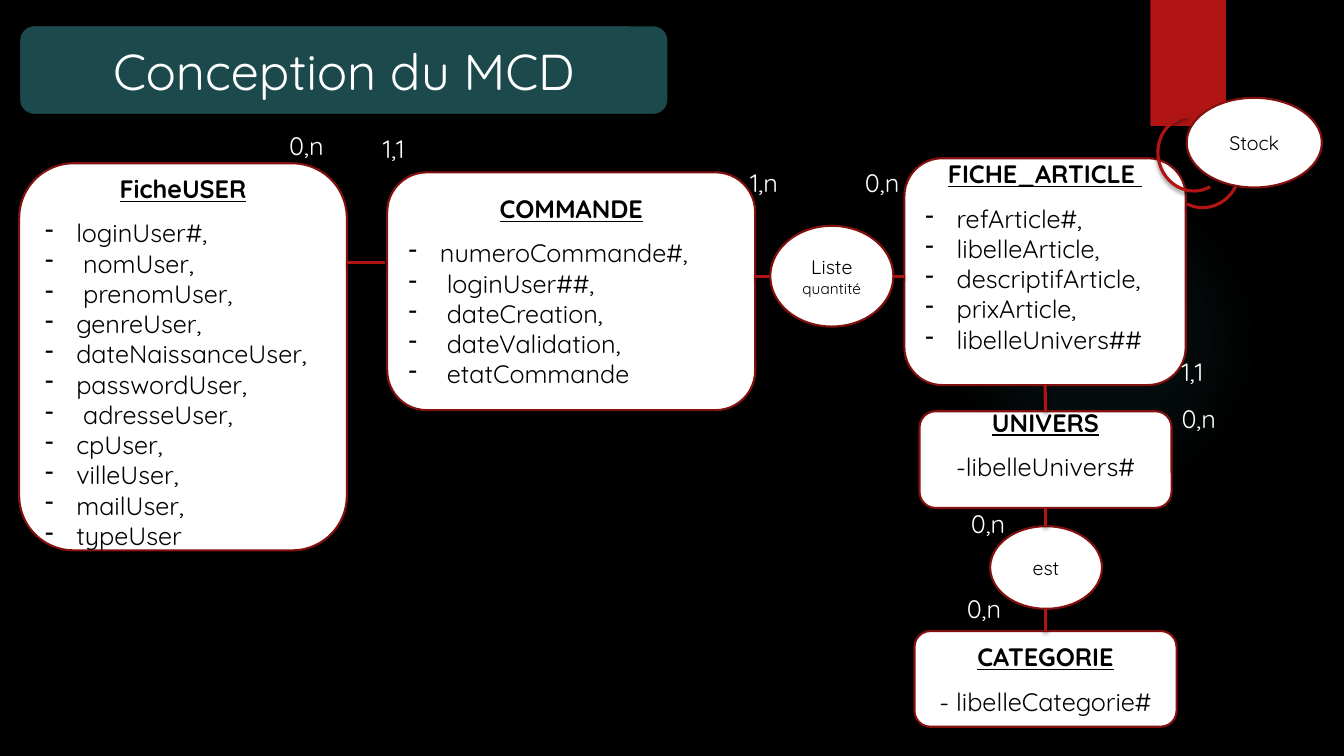
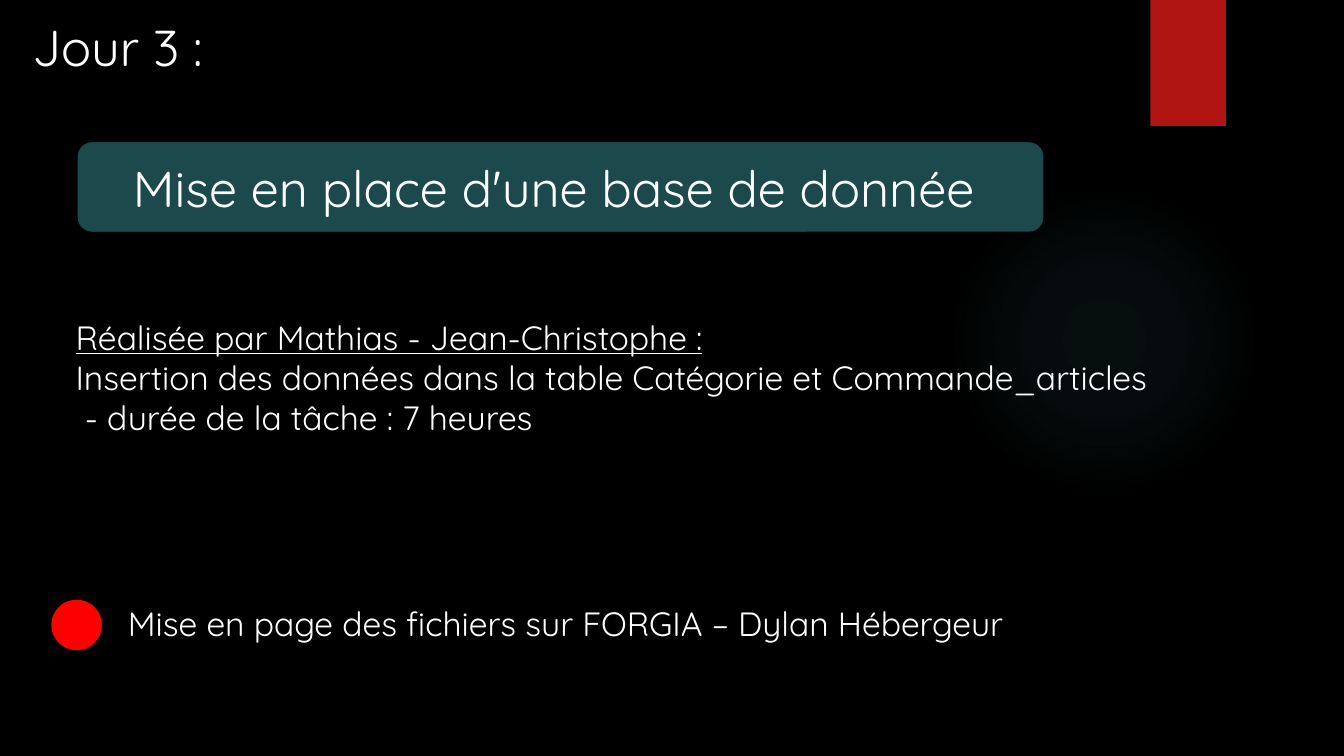
from lxml.etree import SubElement
from pptx import Presentation
from pptx.dml.color import RGBColor
from pptx.enum.shapes import MSO_CONNECTOR as Connector, MSO_SHAPE as Shape
from pptx.enum.text import MSO_ANCHOR as Anchor, MSO_AUTO_SIZE as AutoSize, PP_ALIGN as Align
from pptx.oxml import parse_xml
from pptx.oxml.ns import nsdecls, qn
from pptx.util import Inches, Pt

COLORS = {
    "night": "000000", "paper": "FFFFFF", "band": "1B494C", "red": "B01513",
    "edge": "82100E", "glow": "50B9C1", "alert": "FF0000",
}
FONT = "Quicksand"
TITLE_ONLY, TITLE_AND_BODY = 5, 1
TOP, LEFT, BOTTOM, RIGHT = range(4)
CENTER_X = 103.7


def cells(*counts):
    return [Inches(round(count / 10, 3)) for count in counts]


def rgb(name):
    return RGBColor.from_string(COLORS[name])


def write(para, text, size=18, color="paper", bold=False, underline=False,
          align=Align.LEFT, before=0, bullet=None):
    para.alignment = align
    para.space_before = Pt(before)
    span = para.add_run()
    span.text = text
    span.font.name = FONT
    span.font.size = Pt(size)
    span.font.bold = bold
    span.font.underline = underline
    span.font.color.rgb = rgb(color)
    properties = para._p.get_or_add_pPr()
    indent = Inches(0.31) if bullet else 0
    properties.set("marL", str(indent))
    properties.set("indent", str(-indent))
    if bullet:
        SubElement(properties, qn("a:buChar"), char=bullet)
    else:
        SubElement(properties, qn("a:buNone"))


def write_lines(frame, lines, **style):
    for index, (text, changes) in enumerate(lines):
        para = frame.add_paragraph() if index else frame.paragraphs[0]
        write(para, text, **{**style, **changes})


def cast_shadow(shape):
    properties = shape.element.spPr
    for effects in properties.findall(qn("a:effectLst")):
        properties.remove(effects)
    properties.append(parse_xml(
        f'<a:effectLst {nsdecls("a")}><a:outerShdw blurRad="38100" dist="25400" '
        'dir="5400000" rotWithShape="0"><a:srgbClr val="000000">'
        '<a:alpha val="45000"/></a:srgbClr></a:outerShdw></a:effectLst>'))


class Board:
    def __init__(self):
        self.deck = Presentation()
        self.deck.slide_width, self.deck.slide_height = Inches(13.33), Inches(7.5)
        backdrop = self.deck.slide_master.background.fill
        backdrop.solid()
        backdrop.fore_color.rgb = rgb("night")
        self.page = None

    def add_page(self, layout):
        self.page = self.deck.slides.add_slide(self.deck.slide_layouts[layout])
        glow = self.shape(Shape.OVAL, (94.1, 18.3, 30.8, 30.8))
        stops = "".join(
            f'<a:gs pos="{place}000"><a:srgbClr val="{COLORS["glow"]}">'
            f'<a:alpha val="{alpha}000"/></a:srgbClr></a:gs>'
            for place, alpha in ((0, 7), (36, 6), (69, 0)))
        properties = glow.element.spPr
        properties.replace(properties.find(qn("a:noFill")), parse_xml(
            f'<a:gradFill {nsdecls("a")}><a:gsLst>{stops}</a:gsLst><a:path path="circle">'
            '<a:fillToRect l="50000" t="50000" r="50000" b="50000"/></a:path></a:gradFill>'))
        cast_shadow(self.shape(Shape.RECTANGLE, (114.1, 0, 7.5, 12.5), fill="red"))

    def shape(self, kind, area, fill=None, line=None, width=1.5):
        box = self.page.shapes.add_shape(kind, *cells(*area))
        box.shadow.inherit = False
        if fill:
            box.fill.solid()
            box.fill.fore_color.rgb = rgb(fill)
        else:
            box.fill.background()
        if line:
            box.line.color.rgb = rgb(line)
            box.line.width = Pt(width)
        else:
            box.line.fill.background()
        return box

    def fill_placeholder(self, holder, area, lines, anchor=Anchor.TOP, **style):
        holder.left, holder.top, holder.width, holder.height = cells(*area)
        holder.element.getparent().append(holder.element)
        frame = holder.text_frame
        frame.word_wrap = True
        frame.auto_size = AutoSize.NONE
        frame.vertical_anchor = anchor
        write_lines(frame, lines, **style)

    def title(self, text, area):
        self.shape(Shape.ROUNDED_RECTANGLE, area, fill="band", line="night")
        self.fill_placeholder(self.page.shapes.title, area, [(text, {})],
                              anchor=Anchor.MIDDLE, size=36, align=Align.CENTER)

    def body(self, area, lines):
        self.fill_placeholder(self.page.placeholders[1], area, lines, size=24)

    def label(self, text, area, anchor=Anchor.TOP, **style):
        box = self.page.shapes.add_textbox(*cells(*area))
        box.text_frame.word_wrap = True
        box.text_frame.vertical_anchor = anchor
        write(box.text_frame.paragraphs[0], text, **style)

    def entity(self, name, area, fields, space_above=0, space_below=0, **field_style):
        box = self.shape(Shape.ROUNDED_RECTANGLE, area, fill="paper", line="edge")
        frame = box.text_frame
        frame.vertical_anchor = Anchor.MIDDLE
        frame.margin_top = Inches(0.05 + space_above)
        frame.margin_bottom = Inches(0.05 + space_below)
        heading = {"bold": True, "underline": True, "align": Align.CENTER}
        lines = [(name, heading)]
        lines += [(field, {**field_style, "before": 0 if index else 10})
                  for index, field in enumerate(fields)]
        write_lines(frame, lines, color="night")
        return box

    def relation(self, area, *lines):
        box = self.shape(Shape.OVAL, area, fill="paper", line="edge")
        box.text_frame.vertical_anchor = Anchor.MIDDLE
        write_lines(box.text_frame, [(text, {"size": size}) for text, size in lines],
                    color="night", align=Align.CENTER)

    def link(self, begin, end, begin_join=None, end_join=None):
        line = self.page.shapes.add_connector(Connector.STRAIGHT, *cells(*begin, *end))
        if begin_join:
            line.begin_connect(*begin_join)
        if end_join:
            line.end_connect(*end_join)
        line.line.color.rgb = rgb("red")
        line.line.width = Pt(2.25)
        cast_shadow(line)

    def loop(self, left, top, rotation):
        arc = self.shape(Shape.ARC, (left, top, 7.5, 7), line="red", width=2.25)
        arc.adjustments[0], arc.adjustments[1] = 97.2, 1.24
        arc.rotation = rotation
        cast_shadow(arc)


def draw_model(board):
    board.add_page(TITLE_ONLY)
    board.title("Conception du MCD", (1.9, 2.5, 64.4, 8.9))
    board.entity("FicheUSER", (1.9, 16.2, 32.5, 38.4), [
        "loginUser#,", " nomUser,", " prenomUser,", "genreUser,",
        "dateNaissanceUser,", "passwordUser,", " adresseUser,", "cpUser,",
        "villeUser,", "mailUser,", "typeUser"], space_above=0.1, bullet="-")
    board.entity("COMMANDE", (38.4, 17.1, 36.5, 23.6), [
        "numeroCommande#,", " loginUser##,", " dateCreation,",
        " dateValidation,", " etatCommande"], bullet="-")
    article = board.entity("FICHE_ARTICLE ", (89.7, 15.7, 27.9, 22.5), [
        "refArticle#,", "libelleArticle,", "descriptifArticle,",
        "prixArticle,", "libelleUnivers##"], space_below=0.3, bullet="-")
    universe = board.entity("UNIVERS", (91.2, 40.8, 25, 9.6), ["-libelleUnivers#"],
                            space_below=0.3, align=Align.CENTER)
    category = board.entity("CATEGORIE", (90.7, 62.6, 26, 9.5), ["- libelleCategorie#"],
                            align=Align.CENTER)

    board.link((34.4, 26), (38.2, 26))
    board.link((76.4, 27.4), (74.9, 27.4))
    board.link((88.6, 27.4), (89.7, 27.4))
    board.link((CENTER_X, 38.2), (CENTER_X, 40.8), (article, BOTTOM), (universe, TOP))
    board.relation((76.4, 22.4, 12.2, 10), ("Liste", 14), ("quantité", 11))
    board.relation((98.2, 52.2, 11.1, 8.2), ("est", 14))
    board.link((CENTER_X, 50.4), (CENTER_X, 52.2), begin_join=(universe, BOTTOM))
    board.link((CENTER_X, 60.4), (CENTER_X, 62.6), end_join=(category, TOP))
    board.loop(115.7, 13.4, 115)
    board.relation((117.7, 9.7, 13.4, 8.9), ("Stock", 14))
    board.loop(114.6, 11.7, 261.1)

    for text, left, top in (
            ("0,n", 27.7, 12.4), ("1,1", 37, 12.7), ("1,n", 73.4, 16.1),
            ("0,n", 84.8, 16.1), ("1,1", 116.2, 34.9), ("0,n", 116.2, 39.5),
            ("0,n", 95.3, 49.9), ("0,n", 94.9, 58.4)):
        board.label(text, (left, top, 7.5, 4))


def draw_third_day(board):
    board.add_page(TITLE_AND_BODY)
    board.title("Mise en place d'une base de donnée ", (7.6, 14, 96, 9.1))
    board.shape(Shape.OVAL, (5.2, 59.6, 4.8, 4.8), fill="alert", line="alert")
    board.label("Mise en page des fichiers sur FORGIA – Dylan Hébergeur",
                (11.7, 59.3, 103.5, 5), size=24)
    board.body((6.5, 30.9, 118.5, 13.1), [
        ("Réalisée par Mathias - Jean-Christophe :", {"underline": True}),
        ("Insertion des données dans la table Catégorie et Commande_articles", {}),
        (" - durée de la tâche : 7 heures", {})])
    board.label("Jour 3 :", (0, 0, 23.3, 9.1), anchor=Anchor.MIDDLE,
                size=36, align=Align.CENTER)


def main():
    board = Board()
    draw_model(board)
    draw_third_day(board)
    board.deck.save("out.pptx")


if __name__ == "__main__":
    main()
